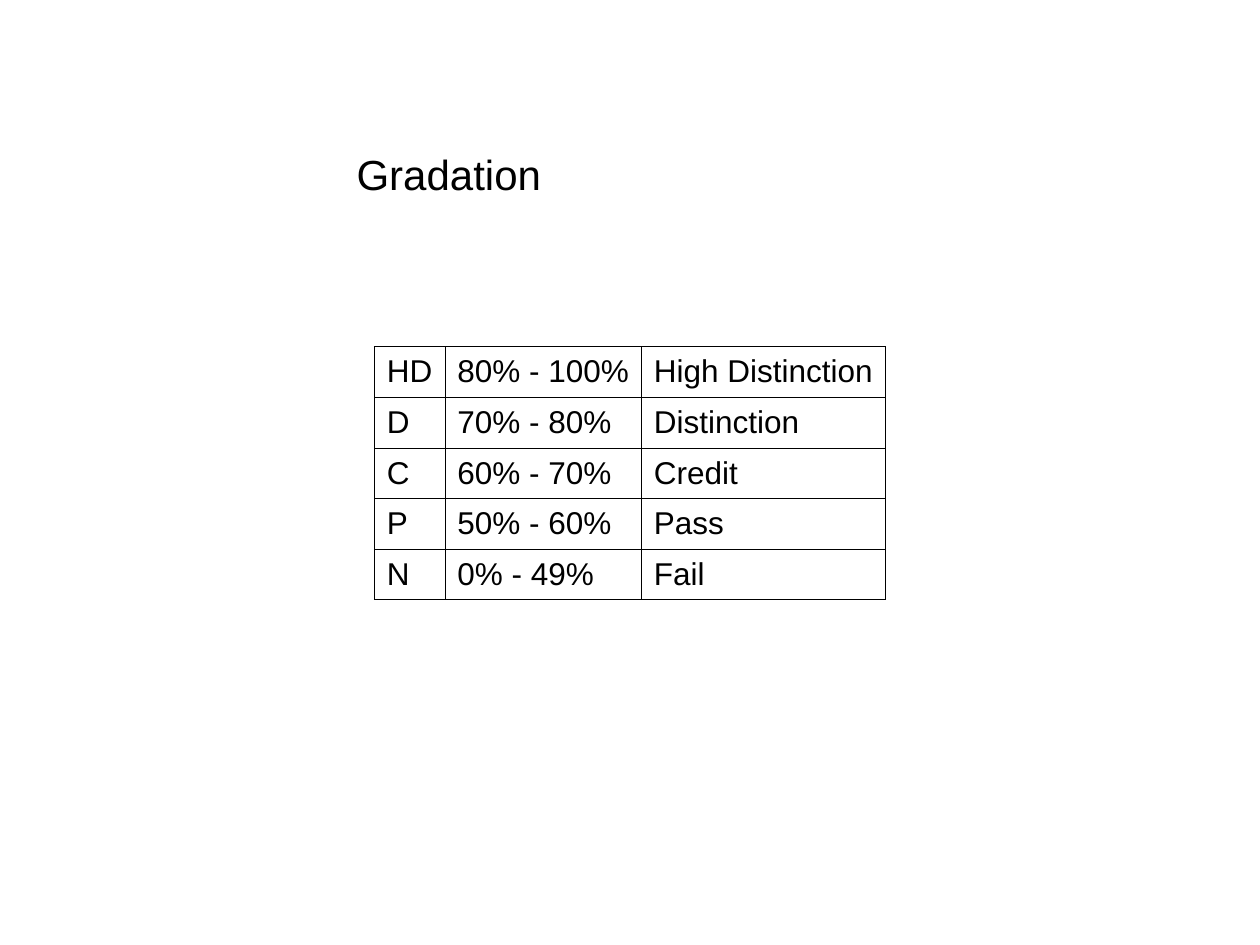
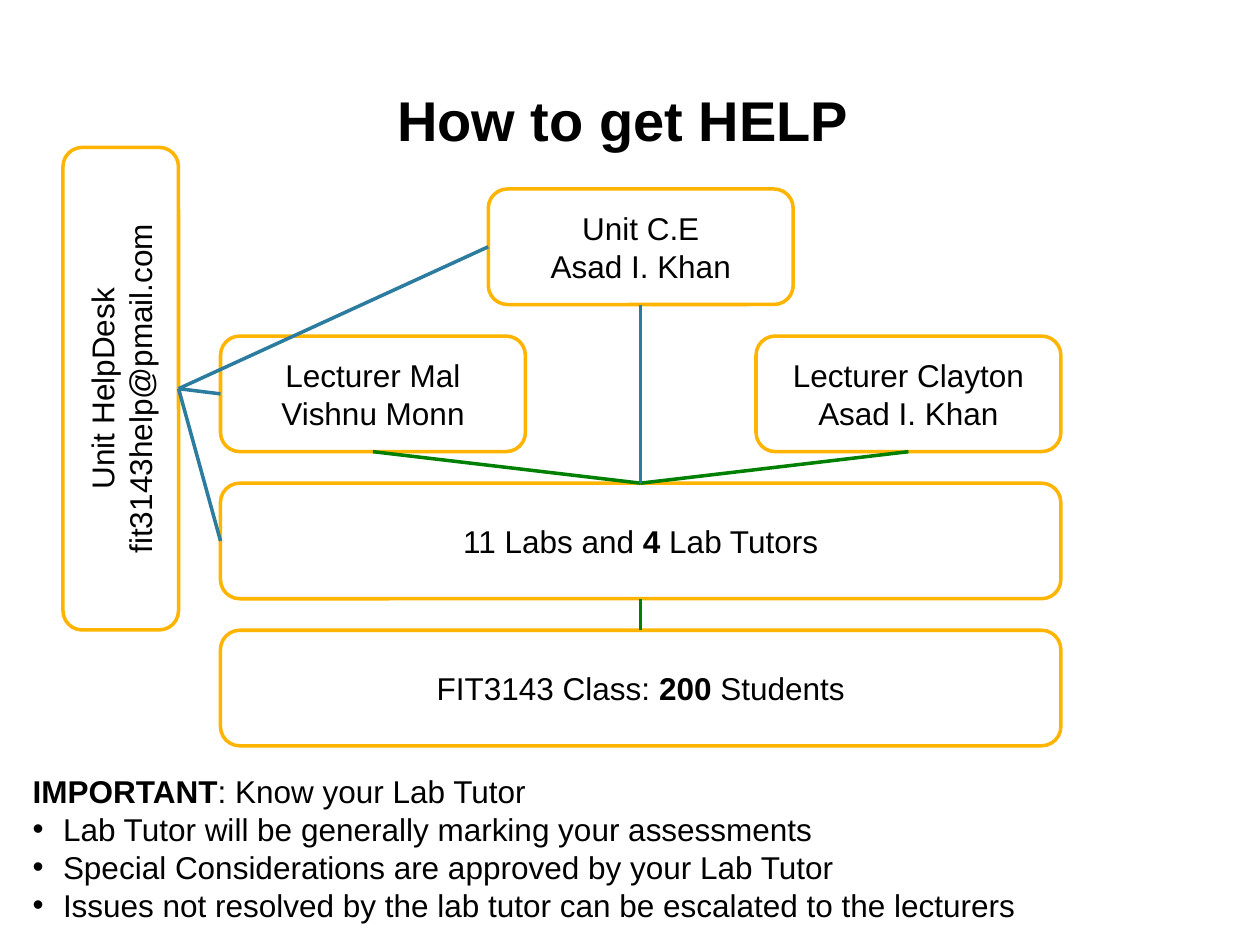
from dataclasses import dataclass

from lxml.etree import SubElement
from pptx import Presentation
from pptx.dml.color import RGBColor
from pptx.enum.shapes import MSO_CONNECTOR, MSO_SHAPE
from pptx.enum.text import MSO_ANCHOR, MSO_AUTO_SIZE, PP_ALIGN
from pptx.oxml import parse_xml
from pptx.oxml.ns import nsdecls, qn
from pptx.util import Inches, Pt


@dataclass(frozen=True)
class Theme:
    """Colours, font and sizes shared by the slides."""
    font: str = "Arial"
    text: RGBColor = RGBColor(0x00, 0x00, 0x00)
    paper: RGBColor = RGBColor(0xFF, 0xFF, 0xFF)
    outline: RGBColor = RGBColor(0xFF, 0xB4, 0x00)
    teaching: RGBColor = RGBColor(0x00, 0x80, 0x00)
    contact: RGBColor = RGBColor(0x2C, 0x7C, 0x9F)
    body_size: int = 18
    label_size: int = 24
    title_size: int = 32
    line_width: float = 2
    border_width: float = 0.34


THEME = Theme()
TOP, LEFT, BOTTOM, RIGHT = range(4)
GRADES = [
    ("HD", "80% - 100%", "High Distinction"),
    ("D", "70% - 80%", "Distinction"),
    ("C", "60% - 70%", "Credit"),
    ("P", "50% - 60%", "Pass"),
    ("N", "0% - 49%", "Fail"),
]
ADVICE = [
    "*IMPORTANT*: Know your Lab Tutor",
    "Lab Tutor will be generally marking your assessments",
    "Special Considerations are approved by your Lab Tutor",
    "Issues not resolved by the lab tutor can be escalated to the lecturers",
]


def write_text(text_frame, lines, size=THEME.body_size, bold=False,
               align=PP_ALIGN.LEFT, anchor=MSO_ANCHOR.TOP):
    """Write one paragraph per line; words between asterisks are bold."""
    text_frame.word_wrap = True
    text_frame.auto_size = MSO_AUTO_SIZE.NONE
    text_frame.vertical_anchor = anchor
    for index, line in enumerate(lines):
        paragraph = text_frame.add_paragraph() if index else text_frame.paragraphs[0]
        paragraph.alignment = align
        paragraph.space_before = Pt(0)
        for part, words in enumerate(line.split("*")):
            if words:
                run = paragraph.add_run()
                run.text = words
                run.font.name = THEME.font
                run.font.size = Pt(size)
                run.font.bold = bold or part % 2 == 1
                run.font.color.rgb = THEME.text


def place(shape, box):
    """Move a shape to a box of left, top, width and height in inches."""
    shape.left, shape.top, shape.width, shape.height = map(Inches, box)


def add_title(slide, text, box, **text_format):
    """Move the title placeholder and fill it."""
    place(slide.shapes.title, box)
    write_text(slide.shapes.title.text_frame, [text], **text_format)


def set_borders(cell):
    """Draw a thin line on all four sides of a table cell."""
    properties = cell._tc.get_or_add_tcPr()
    for index, side in enumerate(("lnL", "lnR", "lnT", "lnB")):
        properties.insert(index, parse_xml(
            f'<a:{side} {nsdecls("a")} w="{int(Pt(THEME.border_width))}"><a:solidFill>'
            f'<a:srgbClr val="{THEME.text}"/></a:solidFill></a:{side}>'))


def add_grade_table(slide, box, column_widths):
    """Add the table of grades, marks and meanings."""
    table = slide.shapes.add_table(
        len(GRADES), len(column_widths), *map(Inches, box)).table
    table.first_row = table.horz_banding = False
    for column, width in zip(table.columns, column_widths):
        column.width = Inches(width)
    for row, values in enumerate(GRADES):
        for column, value in enumerate(values):
            cell = table.cell(row, column)
            cell.fill.background()
            set_borders(cell)
            write_text(cell.text_frame, [value])
            cell.vertical_anchor = MSO_ANCHOR.MIDDLE
            cell.margin_right = Inches(0.05)


def add_role(slide, box, *lines, sideways=False):
    """Add a rounded box naming a role, with its text turned if sideways."""
    shape = slide.shapes.add_shape(MSO_SHAPE.ROUNDED_RECTANGLE, *map(Inches, box))
    shape.shadow.inherit = False
    shape.fill.solid()
    shape.fill.fore_color.rgb = THEME.paper
    shape.line.color.rgb = THEME.outline
    shape.line.width = Pt(THEME.line_width)
    write_text(shape.text_frame, lines, align=PP_ALIGN.CENTER,
               anchor=MSO_ANCHOR.MIDDLE)
    if sideways:
        shape.text_frame._txBody.bodyPr.set("vert", "vert270")
    return shape


def join(slide, start, start_side, end, end_side, color):
    """Join the middles of two box sides with a straight line."""
    connector = slide.shapes.add_connector(MSO_CONNECTOR.STRAIGHT, 0, 0, 0, 0)
    connector.begin_connect(start, start_side)
    connector.end_connect(end, end_side)
    connector.line.color.rgb = color
    connector.line.width = Pt(THEME.line_width)
    SubElement(connector._element.spPr, qn("a:effectLst"))


def add_help_chart(slide, box):
    """Add the boxes of the help structure and the lines between them."""
    left, top, width, height = box
    role_width, gap = 2.42, 0.25
    role_height = (height - 3 * gap) / 4
    levels = [top + row * (role_height + gap) for row in range(4)]
    middle = left + (width - role_width) / 2
    right = left + width - role_width

    students = add_role(slide, (left, levels[3], width, role_height),
                        "FIT3143 Class: *200* Students")
    tutors = add_role(slide, (left, levels[2], width, role_height),
                      "11 Labs and *4* Lab Tutors")
    lecturer_mal = add_role(slide, (left, levels[1], role_width, role_height),
                            "Lecturer Mal", "Vishnu Monn")
    lecturer_clayton = add_role(slide, (right, levels[1], role_width, role_height),
                                "Lecturer Clayton", "Asad I. Khan")
    help_desk = add_role(slide, (left - 1.25, top - 0.33, role_height, 3.83),
                         "Unit HelpDesk", "fit3143help@pmail.com", sideways=True)
    examiner = add_role(slide, (middle, levels[0], role_width, role_height),
                        "Unit C.E", "Asad I. Khan")

    join(slide, students, TOP, tutors, BOTTOM, THEME.teaching)
    for lecturer in (lecturer_clayton, lecturer_mal):
        join(slide, tutors, TOP, lecturer, BOTTOM, THEME.teaching)
    join(slide, examiner, BOTTOM, tutors, TOP, THEME.contact)
    for role in (examiner, lecturer_mal, tutors):
        join(slide, role, LEFT, help_desk, RIGHT, THEME.contact)


def add_advice(slide, box):
    """Fill the body placeholder with a lead line and bullets."""
    body = slide.placeholders[1]
    place(body, box)
    write_text(body.text_frame, ADVICE)
    for index, paragraph in enumerate(body.text_frame.paragraphs):
        properties = paragraph._p.get_or_add_pPr()
        indent = Inches(0.24) if index else 0
        properties.set("marL", str(indent))
        properties.set("indent", str(-indent))
        if index:
            SubElement(properties, qn("a:buFont"), typeface=THEME.font)
            SubElement(properties, qn("a:buChar"), char="•")
        else:
            SubElement(properties, qn("a:buNone"))


def build_gradation_slide(presentation):
    """Add the slide with the grade table."""
    slide = presentation.slides.add_slide(presentation.slide_layouts[5])
    add_grade_table(slide, (2.97, 2.75, 4.06, 2.01), (0.56, 1.56, 1.94))
    add_title(slide, "Gradation", (2.73, 1.13, 1.8, 0.5), size=THEME.label_size)


def build_help_slide(presentation):
    """Add the slide with the help structure and advice."""
    slide = presentation.slides.add_slide(presentation.slide_layouts[1])
    add_title(slide, "How to get HELP", (0.89, 0.63, 8.11, 0.64),
              size=THEME.title_size, bold=True, align=PP_ALIGN.CENTER)
    add_help_chart(slide, (1.75, 1.5, 6.67, 4.42))
    add_advice(slide, (0.16, 6.08, 9.67, 1.3))


def main():
    """Build and save the presentation."""
    presentation = Presentation()
    presentation.slide_width = Inches(10)
    presentation.slide_height = Inches(7.5)
    build_gradation_slide(presentation)
    build_help_slide(presentation)
    presentation.save("out.pptx")


if __name__ == "__main__":
    main()
